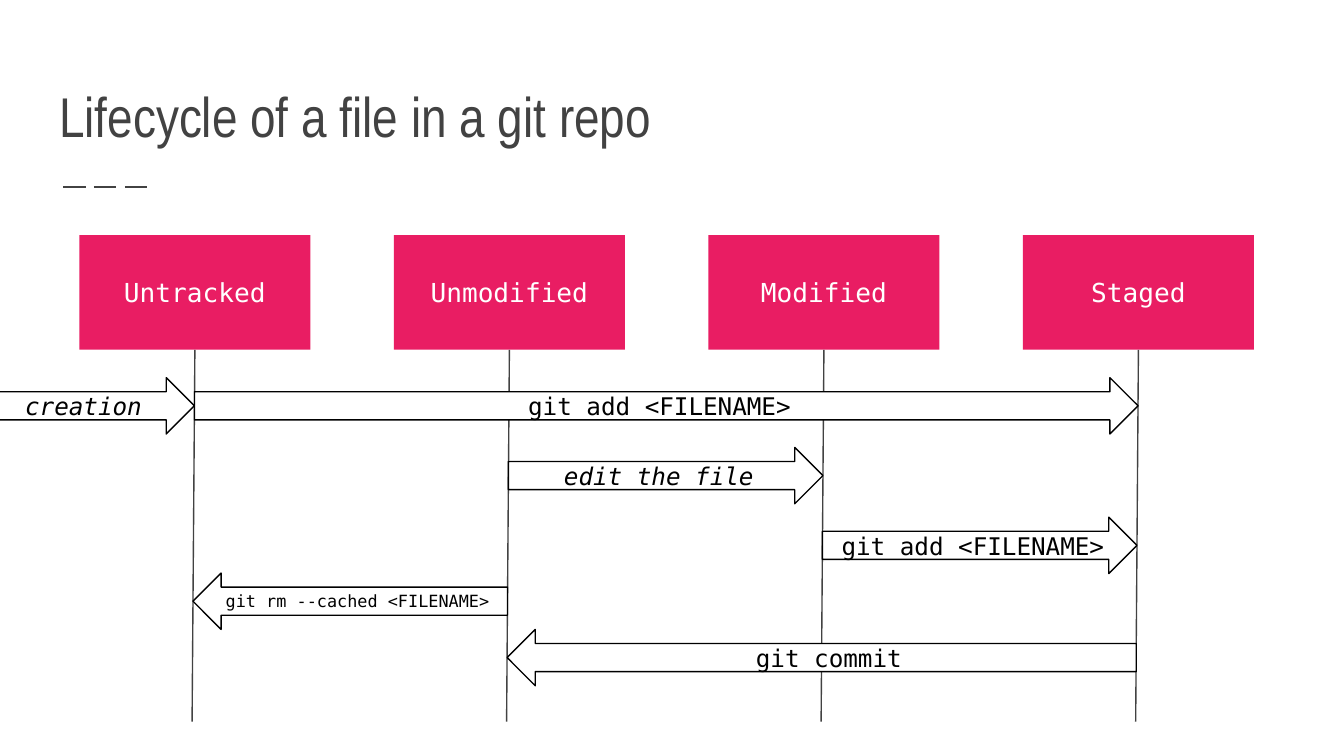
from dataclasses import dataclass

from lxml import etree
from pptx import Presentation
from pptx.dml.color import RGBColor
from pptx.enum import dml, shapes, text
from pptx.oxml import ns
from pptx.util import Pt

PINK = RGBColor(0xE9, 0x1D, 0x63)
GRAY = RGBColor(0x42, 0x42, 0x42)
BLACK = RGBColor(0, 0, 0)
WHITE = RGBColor(0xFF, 0xFF, 0xFF)
MONO = "DejaVu Sans Mono"
INSET = 7.2

BOX_LEFT, BOX_TOP, BOX_W, BOX_H = 42.5, 126, 123.8, 61.4
COLUMN_STEP = 168.5
LIFELINE_TOP, LIFELINE_BOTTOM = BOX_TOP + BOX_H, 386.6
LIFELINE_LEAN = 1.5
ARROW_H = 30.2

STATES = ["Untracked", "Unmodified", "Modified", "Staged"]


@dataclass
class Transition:
    label: str
    start: int | None  # state index; None starts beyond the slide's left edge
    end: int
    top: float
    size: float = 13
    italic: bool = False
    inset_left: float = INSET


TRANSITIONS = [
    Transition("git add <FILENAME>", 0, 3, 202.3),
    Transition("edit the file", 1, 2, 239.7, italic=True),
    Transition("git add <FILENAME>", 2, 3, 277.1),
    Transition("git rm --cached <FILENAME>", 1, 0, 307, size=9),
    Transition("git commit", 3, 1, 337.2),
    Transition("creation", None, 0, 202.3, italic=True, inset_left=15),
]


def lifeline_x(state: int, y: float) -> float:
    """Horizontal place of a state's slightly leaning lifeline at height y."""
    share = (y - LIFELINE_TOP) / (LIFELINE_BOTTOM - LIFELINE_TOP)
    return BOX_LEFT + BOX_W / 2 + state * COLUMN_STEP - LIFELINE_LEAN * share


def set_insets(tf, left: float = INSET) -> None:
    tf.word_wrap = True
    tf.margin_left = Pt(left)
    tf.margin_top = tf.margin_right = tf.margin_bottom = Pt(INSET)


def add_block(s, kind, x: float, y: float, w: float, h: float, label: str,
              fill: RGBColor, color: RGBColor, size: float,
              inset_left: float = INSET):
    """Add a filled, unoutlined shape with a centred monospace label."""
    sp = s.shapes.add_shape(kind, Pt(x), Pt(y), Pt(w), Pt(h))
    sp.shadow.inherit = False
    sp.fill.solid()
    sp.fill.fore_color.rgb = fill
    sp.line.fill.background()
    tf = sp.text_frame
    set_insets(tf, inset_left)
    tf.vertical_anchor = text.MSO_ANCHOR.MIDDLE
    p = tf.paragraphs[0]
    p.text = label
    p.alignment = text.PP_ALIGN.CENTER
    p.font.name, p.font.size, p.font.color.rgb = MONO, Pt(size), color
    return sp


def add_line(s, x1: float, y1: float, x2: float, y2: float, width: float):
    line = s.shapes.add_connector(shapes.MSO_CONNECTOR.STRAIGHT,
                                  Pt(x1), Pt(y1), Pt(x2), Pt(y2))
    line.line.color.rgb = GRAY
    line.line.width = Pt(width)
    etree.SubElement(line._element.spPr, ns.qn("a:effectLst"))
    return line


def add_title(s, title: str) -> None:
    sp = s.shapes.title
    sp.left, sp.top, sp.width, sp.height = Pt(24.5), Pt(29.5), Pt(671), Pt(57.6)
    tf = sp.text_frame
    set_insets(tf)
    tf.auto_size = text.MSO_AUTO_SIZE.NONE
    tf.vertical_anchor = text.MSO_ANCHOR.BOTTOM
    p = tf.paragraphs[0]
    p.text = title
    p.alignment = text.PP_ALIGN.LEFT
    p.font.name, p.font.size, p.font.color.rgb = "Arial Narrow", Pt(30), GRAY


def add_state(s, index: int, label: str) -> None:
    box = add_block(s, shapes.MSO_SHAPE.RECTANGLE,
                    BOX_LEFT + index * COLUMN_STEP, BOX_TOP, BOX_W, BOX_H,
                    label, PINK, WHITE, 14)
    lifeline = add_line(s, lifeline_x(index, LIFELINE_TOP), LIFELINE_TOP,
                        lifeline_x(index, LIFELINE_BOTTOM), LIFELINE_BOTTOM, 0.75)
    lifeline.begin_connect(box, 2)


def add_transition(s, t: Transition) -> None:
    middle = t.top + ARROW_H / 2
    start = -15.1 if t.start is None else lifeline_x(t.start, middle)
    end = lifeline_x(t.end, middle)
    kind = (shapes.MSO_SHAPE.RIGHT_ARROW if end > start
            else shapes.MSO_SHAPE.LEFT_ARROW)
    sp = add_block(s, kind, min(start, end), t.top, abs(end - start), ARROW_H,
                   t.label, WHITE, BLACK, t.size, t.inset_left)
    sp.line.color.rgb = BLACK
    sp.line.width = Pt(0.75)
    sp.text_frame.paragraphs[0].font.italic = t.italic


def main() -> None:
    prs = Presentation()
    prs.slide_width, prs.slide_height = Pt(720), Pt(405)
    s = prs.slides.add_slide(prs.slide_layouts[5])
    add_title(s, "Lifecycle of a file in a git repo")
    rule = add_line(s, 33.8, 100.2, 82.1, 100.2, 1.5)
    rule.line.dash_style = dml.MSO_LINE.LONG_DASH
    for index, label in enumerate(STATES):
        add_state(s, index, label)
    for t in TRANSITIONS:
        add_transition(s, t)
    prs.save("out.pptx")


if __name__ == "__main__":
    main()
